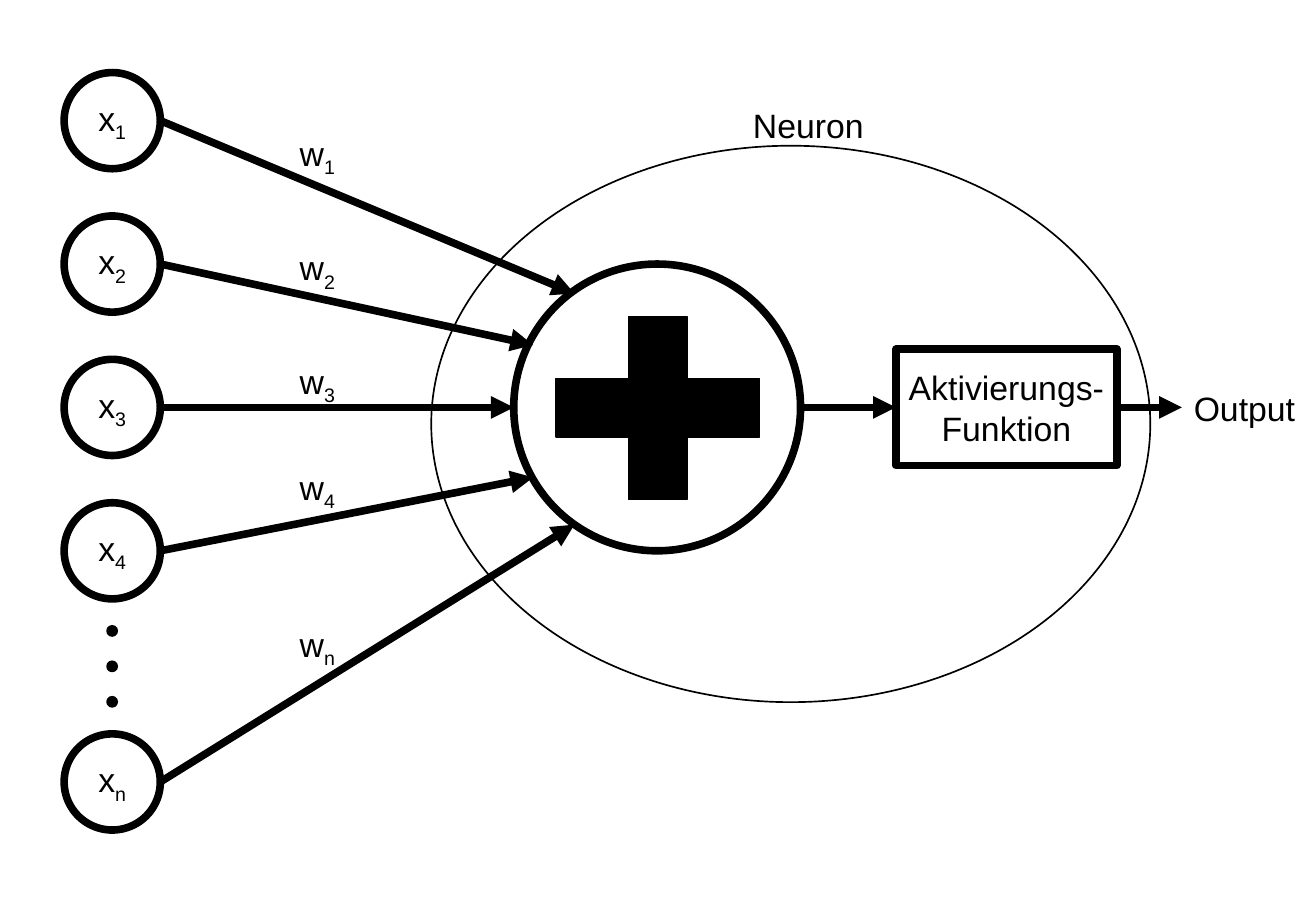
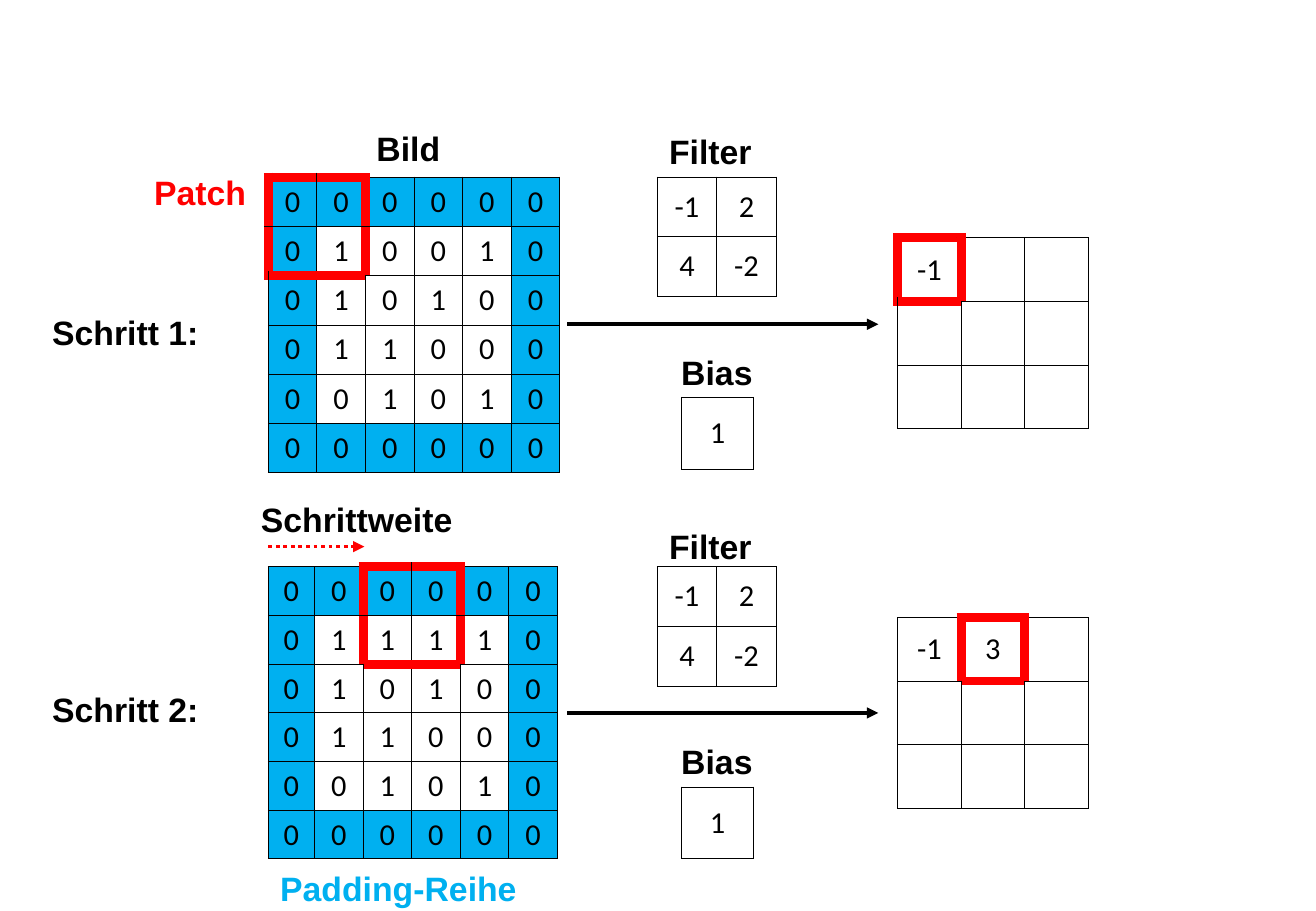
from lxml import etree
from pptx import Presentation
from pptx.dml.color import RGBColor
from pptx.enum.dml import MSO_LINE
from pptx.enum.shapes import MSO_CONNECTOR, MSO_SHAPE
from pptx.enum.text import MSO_ANCHOR, PP_ALIGN
from pptx.oxml import parse_xml
from pptx.oxml.ns import nsdecls, qn
from pptx.util import Pt

NODE, OVAL = MSO_SHAPE.FLOWCHART_CONNECTOR, MSO_SHAPE.OVAL
RECT, PLUS = MSO_SHAPE.RECTANGLE, MSO_SHAPE.MATH_PLUS
LEFT, CENTER = PP_ALIGN.LEFT, PP_ALIGN.CENTER
TOP, MIDDLE = MSO_ANCHOR.TOP, MSO_ANCHOR.MIDDLE
DOTS = MSO_LINE.ROUND_DOT


class Theme:
    black, white, red, blue = "000000", "FFFFFF", "FF0000", "00B0F0"
    font, digits = "Arial", "Calibri"
    size, cell = 20, 18
    thin, bold, arrow = 1, 4.5, 2.25
    grid, patch = 0.5, 6
    label = 32  # height of a one-line label


# Slide 1: (index, top of input, top of weight label, arrow tip)
INPUTS = [
    ("1", 43, 75, (340.5, 174)),
    ("2", 128, 143, (316, 204.5)),
    ("3", 213, 210, (304.5, 241.5)),
    ("4", 298, 273, (316, 283)),
    ("n", 435, 366, (340.5, 311)),
]
INPUT_X, INPUT_D = 38, 57
WEIGHT_X = 170.5
DOT_TOPS, DOT_D = (371, 392, 413), 6
AXIS = 241.5  # height of the signal line
SUM_X, SUM_D = 304.5, 170
ACT = (531, AXIS - 34.5, 131, 69)
OUT_X = 700.5

# Slide 2: patch is (row, column, rows, columns)
FILTER = [["-1", "2"], ["4", "-2"]]
BIAS = [["1"]]
EDGE = "000000"
STEPS = [
    dict(
        name="Schritt 1:", name_y=181.5, top=105, first=28.8,
        image=[EDGE, "010010", "010100", "011000", "001010", EDGE],
        patch=(0, 0, 2, 2), filter_y=74, arrow_y=192.2,
        bias_y=205, bias_top=235.5, result_top=141,
        result=[["-1", "", ""], [""] * 3, [""] * 3], hit=(0, 0, 1, 1),
    ),
    dict(
        name="Schritt 2:", name_y=404.5, top=336, first=27.4,
        image=[EDGE, "011110", "010100", "011000", "001010", EDGE],
        patch=(0, 2, 2, 2), filter_y=308, arrow_y=422.6,
        bias_y=435.5, bias_top=466.5, result_top=366,
        result=[["-1", "3", ""], [""] * 3, [""] * 3], hit=(0, 1, 1, 1),
    ),
]
IMAGE_X, IMAGE_CELL = 159, 28.8
FILTER_X, FILTER_CELL = 389.5, 35.3
BIAS_X, BIAS_CELL = 404, 42.5
RESULT_X, RESULT_CELL = 532, 37.7
# Single labels: text, left, top, width, colour
LABELS = [
    ("Bild", 216, 72, 70, Theme.black),
    ("Patch", 84.3, 98, 70, Theme.red),
    ("Schrittweite", 147.6, 292.3, 136, Theme.black),
    ("Padding-Reihe", 159, 511, 160.5, Theme.blue),
]


def rgb(code):
    return RGBColor.from_string(code)


def write(frame, text, size=Theme.size, font=Theme.font, bold=False,
          color=Theme.black, align=LEFT, anchor=TOP):
    """Write one paragraph; an underscore starts a subscript."""
    frame.word_wrap = True
    frame.vertical_anchor = anchor
    para = frame.paragraphs[0]
    para.alignment = align
    for i, part in enumerate(text.split("_")):
        run = para.add_run()
        run.text = part
        run.font.size, run.font.name, run.font.bold = Pt(size), font, bold
        run.font.color.rgb = rgb(color)
        if i:
            run.font._element.set("baseline", "-25000")


def label(slide, text, x, y, w, **style):
    box = slide.shapes.add_textbox(Pt(x), Pt(y), Pt(w), Pt(Theme.label))
    write(box.text_frame, text, **style)


def shape(slide, kind, x, y, w, h, text="", fill=Theme.white, line=Theme.bold):
    item = slide.shapes.add_shape(kind, Pt(x), Pt(y), Pt(w), Pt(h))
    item.shadow.inherit = False
    item.fill.solid()
    item.fill.fore_color.rgb = rgb(fill)
    item.line.color.rgb = rgb(Theme.black)
    item.line.width = Pt(line)
    if text:
        frame = item.text_frame
        frame.margin_left = frame.margin_right = Pt(5)
        write(frame, text, align=CENTER, anchor=MIDDLE)
    return item


def arrow(slide, start, end, width=Theme.bold, color=Theme.black, dash=None):
    link = slide.shapes.add_connector(
        MSO_CONNECTOR.STRAIGHT, *(Pt(v) for v in (*start, *end)))
    link.line.color.rgb = rgb(color)
    link.line.width = Pt(width)
    if dash:
        link.line.dash_style = dash
    head = etree.SubElement(link.line._get_or_add_ln(), qn("a:tailEnd"))
    head.set("type", "triangle")
    etree.SubElement(link._element.spPr, qn("a:effectLst"))
    return link


def border(cell, reds):
    """Draw four borders, red and thick on the sides named in reds."""
    props = cell._tc.get_or_add_tcPr()
    for i, side in enumerate("LRTB"):
        red = side in reds
        color = Theme.red if red else Theme.black
        width = Pt(Theme.patch if red else Theme.grid)
        props.insert(i, parse_xml(
            f'<a:ln{side} {nsdecls("a")} w="{width}"><a:solidFill>'
            f'<a:srgbClr val="{color}"/></a:solidFill></a:ln{side}>'))


def grid(slide, rows, x, y, size, first=None, patch=(0, 0, 0, 0), pad=False):
    count, wide = len(rows), len(rows[0])
    first = first or size
    table = slide.shapes.add_table(
        count, wide, Pt(x), Pt(y),
        Pt(first + size * (wide - 1)), Pt(size * count)).table
    table.first_row = table.horz_banding = False
    for c, col in enumerate(table.columns):
        col.width = Pt(size if c else first)
    row0, col0, high, broad = patch

    def inside(r, c):
        return row0 <= r < row0 + high and col0 <= c < col0 + broad

    for r, row in enumerate(rows):
        table.rows[r].height = Pt(size)
        for c, value in enumerate(row):
            cell = table.cell(r, c)
            cell.vertical_anchor = MIDDLE
            if pad and (r in (0, count - 1) or c in (0, wide - 1)):
                cell.fill.solid()
                cell.fill.fore_color.rgb = rgb(Theme.blue)
            else:
                cell.fill.background()
            near = dict(L=(r, c - 1), R=(r, c + 1), T=(r - 1, c), B=(r + 1, c))
            border(cell, [s for s, spot in near.items()
                          if inside(r, c) != inside(*spot)])
            if value:
                write(cell.text_frame, value, size=Theme.cell,
                      font=Theme.digits, align=CENTER, anchor=MIDDLE)


def neuron(slide):
    # Body and sum
    shape(slide, OVAL, 255.6, 86.4, 426.2, 329.8, line=Theme.thin)
    shape(slide, NODE, SUM_X, AXIS - SUM_D / 2, SUM_D, SUM_D)
    shape(slide, PLUS, 308, 168, 164, 147.6, fill=Theme.black, line=Theme.thin)
    label(slide, "Neuron", 439.2, 58.3, 84)

    # Inputs and weights
    for index, top, weight, tip in INPUTS:
        shape(slide, NODE, INPUT_X, top, INPUT_D, INPUT_D, f"x_{index}")
        arrow(slide, (INPUT_X + INPUT_D, top + INPUT_D / 2), tip)
        label(slide, f"w_{index}", WEIGHT_X, weight, 42)
    for top in DOT_TOPS:
        shape(slide, NODE, INPUT_X + (INPUT_D - DOT_D) / 2, top, DOT_D, DOT_D,
              fill=Theme.black, line=Theme.thin)

    # Activation and output
    act = shape(slide, RECT, *ACT, text="Aktivierungs-Funktion")
    arrow(slide, (SUM_X + SUM_D, AXIS), (ACT[0], AXIS)).end_connect(act, 1)
    arrow(slide, (ACT[0] + ACT[2], AXIS), (OUT_X, AXIS)).begin_connect(act, 3)
    label(slide, "Output", OUT_X, 226, 77)


def filtering(slide):
    for step in STEPS:
        # Grids
        grid(slide, step["image"], IMAGE_X, step["top"], IMAGE_CELL,
             first=step["first"], patch=step["patch"], pad=True)
        grid(slide, FILTER, FILTER_X, step["top"], FILTER_CELL)
        grid(slide, BIAS, BIAS_X, step["bias_top"], BIAS_CELL)
        grid(slide, step["result"], RESULT_X, step["result_top"], RESULT_CELL,
             patch=step["hit"])
        # Labels and arrow
        label(slide, step["name"], 23.8, step["name_y"], 104, bold=True)
        label(slide, "Filter", FILTER_X, step["filter_y"], 70, bold=True)
        label(slide, "Bias", 396.7, step["bias_y"], 64, bold=True)
        arrow(slide, (336.2, step["arrow_y"]), (520.6, step["arrow_y"]),
              width=Theme.arrow)

    arrow(slide, (IMAGE_X, 324), (216, 324), width=Theme.arrow,
          color=Theme.red, dash=DOTS)
    for text, x, y, w, color in LABELS:
        label(slide, text, x, y, w, bold=True, color=color)


def main():
    deck = Presentation()
    deck.slide_width, deck.slide_height = Pt(780), Pt(540)
    for build in (neuron, filtering):
        build(deck.slides.add_slide(deck.slide_layouts[6]))
    deck.save("out.pptx")


if __name__ == "__main__":
    main()
